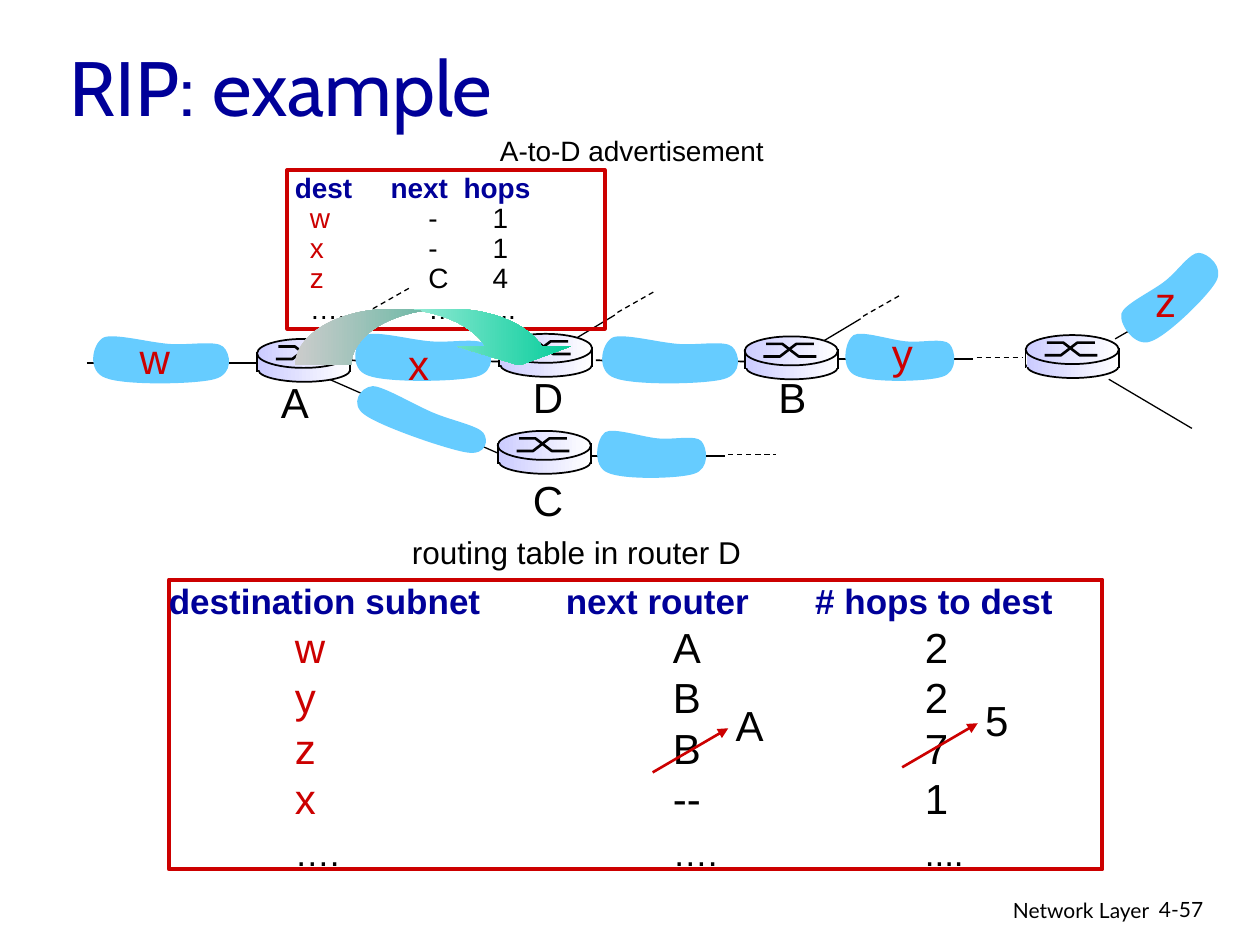
from lxml import etree
from pptx import Presentation
from pptx.dml.color import RGBColor
from pptx.enum import dml, shapes, text
from pptx.oxml.ns import qn
from pptx.util import Inches, Pt

BLACK, RED, NAVY = "000000", "CC0000", "000099"
LAVENDER, SKY, WHITE, GREEN = "CCCCFF", "66CCFF", "FFFFFF", "00CC99"

LINKS = [
    (6.65, 2.85, 7.72, 2.85, 0.75), (2.77, 2.86, 4.12, 2.87, 1),
    (4.73, 2.86, 6.09, 2.87, 1), (0.69, 2.88, 2.05, 2.88, 1),
    (8.85, 2.69, 9.51, 2.31, 0.75), (8.8, 3.01, 9.46, 3.4, 0.75),
    (2.59, 3, 3.96, 3.6, 0.75), (4.68, 3.62, 5.75, 3.62, 0.75),
]
DASHED_LINKS = [(7.75, 2.84, 8.12, 2.84), (5.78, 3.61, 6.16, 3.61)]
STUBS = [(6.48, 2.74), (4.53, 2.71), (2.59, 2.68)]
CLOUDS = [
    (2.77, 2.62, 1.16, 0.42, 0), (2.76, 3.18, 1.16, 0.31, 19.7),
    (0.69, 2.64, 1.16, 0.42, 0), (4.73, 2.64, 1.16, 0.42, 0),
    (6.67, 2.62, 0.93, 0.42, 0), (8.81, 2.15, 0.95, 0.42, 316.8),
    (4.7, 3.39, 0.93, 0.42, 0),
]
CLOUD_START = (660, 90)
CLOUD_CURVES = [
    [(500, 80), (210, 0), (130, 40)], [(40, 90), (0, 310), (150, 360)],
    [(300, 420), (860, 410), (1010, 370)],
    [(1170, 330), (1140, 160), (1080, 110)],
    [(1020, 60), (820, 100), (660, 90)],
]
ROUTERS = [(3.96, 2.65), (5.91, 2.67), (8.14, 2.66), (3.95, 3.42), (2.04, 2.69)]
LABELS = [
    ("w", 1.01, 2.59, RED), ("x", 3.14, 2.64, RED), ("y", 6.98, 2.55, RED),
    ("z", 9.07, 2.14, RED), ("A", 2.13, 2.94, BLACK), ("C", 4.13, 3.72, BLACK),
    ("D", 4.13, 2.9, BLACK), ("B", 6.08, 2.9, BLACK),
]
UPDATES = [("A", 5.18, 6.13), ("5", 7.16, 6.09)]
ROUTING = dict(
    box=(1.34, 4.6, 7.41, 2.3), header_size=20, row_size=24, last_size=20,
    header_line=24, row_line=28.8, header_tabs=(3.15, 5.13), row_tabs=(1, 4, 6),
    header="destination subnet\tnext router\t# hops to dest",
    rows=[("w", "A", "2"), ("y", "B", "2"), ("z", "B", "7"), ("x", "--", "1")],
    last="\t….\t….\t....")
ADVERT = dict(
    box=(2.28, 1.35, 2.52, 1.26), header_size=16, row_size=16, last_size=16,
    header_line=19.2, row_line=17.28, header_tabs=(0.06, 0.82, 1.4),
    row_tabs=(0.18, 1.12, 1.63), header="\tdest\tnext\thops",
    rows=[("w", "-", "1"), ("x", "-", "1"), ("z", "C", "4")],
    last="\t….\t…\t...")

prs = Presentation()
prs.slide_width, prs.slide_height = Inches(10), Inches(7.5)
s = prs.slides.add_slide(prs.slide_layouts[5])


def rgb(color):
    return RGBColor.from_string(color)


def box(values):
    return [Inches(v) for v in values]


def add_run(p, words, size=24, color=BLACK, font="Arial", bold=False):
    r = p.add_run()
    r.text = words
    r.font.size, r.font.name, r.font.bold = Pt(size), font, bold
    r.font.color.rgb = rgb(color)


def label(words, x, y, w, h, wrap=False, align=None, **style):
    tf = s.shapes.add_textbox(*box((x, y, w, h))).text_frame
    tf.word_wrap = wrap
    tf.paragraphs[0].alignment = align
    add_run(tf.paragraphs[0], words, **style)


def line(x1, y1, x2, y2, width=0.75, color=BLACK, dash=False, arrow=False):
    c = s.shapes.add_connector(shapes.MSO_CONNECTOR.STRAIGHT, *box((x1, y1, x2, y2)))
    c.line.width = Pt(width)
    c.line.color.rgb = rgb(color)
    if dash:
        c.line.dash_style = dml.MSO_LINE.DASH
    if arrow:
        etree.SubElement(c.line._get_or_add_ln(), qn("a:tailEnd"), type="triangle")
    etree.SubElement(c._element.spPr, qn("a:effectLst"))


def preset(kind, x, y, w, h, gradient=None, outline=None, width=1):
    sp = s.shapes.add_shape(kind, *box((x, y, w, h)))
    sp.shadow.inherit = False
    if gradient:
        sp.fill.gradient()
        sp.fill.gradient_angle = 0
        for stop, color in zip(sp.fill.gradient_stops, gradient):
            stop.color.rgb = rgb(color)
    else:
        sp.fill.background()
    if outline:
        sp.line.color.rgb = rgb(outline)
        sp.line.width = Pt(width)
    else:
        sp.line.fill.background()
    return sp


def outline_shape(points, close):
    points = [box(point) for point in points]
    builder = s.shapes.build_freeform(*points[0], scale=1.0)
    builder.add_line_segments(points[1:], close=close)
    sp = builder.convert_to_shape()
    sp.shadow.inherit = False
    return sp


def cloud(x, y, w, h, angle):
    sp = outline_shape([(x, y), (x + w, y), (x + w, y + h), (x, y + h)], True)
    sp.fill.solid()
    sp.fill.fore_color.rgb = rgb(SKY)
    sp.line.fill.background()
    sp.rotation = angle
    geometry = sp._element.xpath(".//a:path")[0]
    for child in list(geometry):
        geometry.remove(child)
    geometry.set("w", "1160")
    geometry.set("h", "420")
    steps = [("a:moveTo", [CLOUD_START])] + [("a:cubicBezTo", c) for c in CLOUD_CURVES]
    for tag, points in steps:
        step = etree.SubElement(geometry, qn(tag))
        for px, py in points:
            etree.SubElement(step, qn("a:pt"), x=str(px), y=str(py))
    etree.SubElement(geometry, qn("a:close"))


def router(x, y):
    oval, rect = shapes.MSO_SHAPE.OVAL, shapes.MSO_SHAPE.RECTANGLE
    shade = (LAVENDER, WHITE)
    preset(oval, x + 0.01, y + 0.15, 0.73, 0.19, shade, BLACK)
    preset(rect, x + 0.01, y + 0.13, 0.74, 0.12, shade)
    preset(oval, x, y, 0.74, 0.23, shade, BLACK)
    for left, start, end in [(0.15, 0.16, 0.06), (0.17, 0.06, 0.16)]:
        points = [(0, start), (0.13, start), (0.26, end), (0.4, end)]
        sp = outline_shape([(x + left + dx, y + dy) for dx, dy in points], False)
        sp.fill.background()
        sp.line.color.rgb = rgb(BLACK)
        sp.line.width = Pt(1.5)
    for dx in (0, 0.74):
        line(x + dx, y + 0.1, x + dx, y + 0.26, width=1)


def tabbed(p, stops, spacing):
    p.alignment = text.PP_ALIGN.LEFT
    p.line_spacing = Pt(spacing)
    tabs = etree.SubElement(p._p.get_or_add_pPr(), qn("a:tabLst"))
    for stop in stops:
        etree.SubElement(tabs, qn("a:tab"), pos=str(Inches(stop)), algn="l")


def listing(t):
    sp = preset(shapes.MSO_SHAPE.RECTANGLE, *t["box"], outline=RED, width=2.25)
    tf = sp.text_frame
    tf.margin_left = tf.margin_right = tf.margin_top = tf.margin_bottom = 0
    tf.vertical_anchor = text.MSO_ANCHOR.TOP
    tf.word_wrap = True
    p = tf.paragraphs[0]
    tabbed(p, t["header_tabs"], t["header_line"])
    add_run(p, t["header"], size=t["header_size"], color=NAVY, bold=True)
    for dest, hop, count in t["rows"]:
        p = tf.add_paragraph()
        tabbed(p, t["row_tabs"], t["row_line"])
        add_run(p, f"\t{dest}", size=t["row_size"], color=RED)
        add_run(p, f"\t{hop}\t{count}", size=t["row_size"])
    p = tf.add_paragraph()
    tabbed(p, t["row_tabs"], t["row_line"])
    add_run(p, t["last"], size=t["last_size"])


title = s.shapes.title
title.left, title.top, title.width, title.height = box((0.45, 0.21, 4.31, 0.94))
title.text_frame.vertical_anchor = text.MSO_ANCHOR.MIDDLE
title.text_frame.paragraphs[0].alignment = text.PP_ALIGN.LEFT
add_run(title.text_frame.paragraphs[0], "RIP: example", size=44, color=NAVY, font="Cabin")
label("Network Layer", 6.05, 7.07, 3.17, 0.31, wrap=True,
      align=text.PP_ALIGN.RIGHT, size=12, font="Lato")
label("4-57", 9.1, 7.07, 0.74, 0.3, wrap=True, size=12, font="Lato")

for link in LINKS:
    line(*link)
for link in DASHED_LINKS:
    line(*link, dash=True)
for x, y in STUBS:
    line(x, y, x + 0.35, y - 0.21)
    line(x + 0.37, y - 0.23, x + 0.67, y - 0.4, dash=True)
for c in CLOUDS:
    cloud(*c)
for words, x, y, color in LABELS:
    label(words, x, y, 0.42, 0.5, color=color)
for x, y in ROUTERS:
    router(x, y)

listing(ROUTING)
label("routing table in router D", 3.17, 4.18, 2.81, 0.4, size=18)
for words, x, y in UPDATES:
    line(x, y, x + 0.6, y - 0.35, width=1.5, color=RED, arrow=True)
    label(words, x + 0.56, y - 0.63, 0.42, 0.5)
listing(ADVERT)
label("A-to-D advertisement", 3.87, 1.01, 2.3, 0.37, size=16)
arrow = preset(shapes.MSO_SHAPE.CURVED_DOWN_ARROW, 2.34, 2.45, 2.23, 0.45, (WHITE, GREEN))
for i, value in enumerate((0.996, 1.992, 0.333)):
    arrow.adjustments[i] = value

prs.save("out.pptx")
